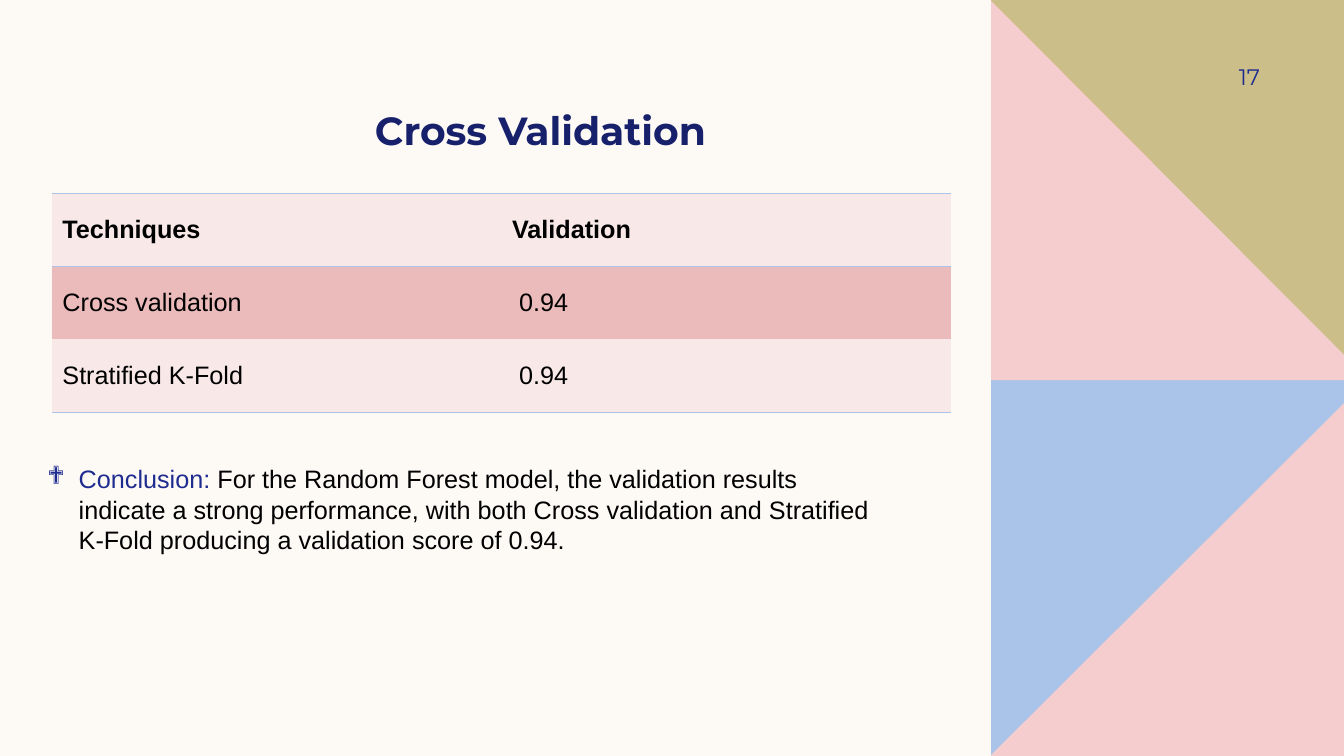
from lxml import etree
from pptx import Presentation
from pptx.dml.color import RGBColor
from pptx.enum.text import MSO_ANCHOR, PP_ALIGN
from pptx.oxml.ns import qn
from pptx.util import Inches, Pt

MIDDLE = MSO_ANCHOR.MIDDLE
RIGHT = PP_ALIGN.RIGHT
WIDTH, HEIGHT = Inches(13.33), Inches(7.5)
PLAIN_TABLE = "{2D5ABB26-0587-4C30-8999-92F81FD0307C}"
BLUE, PINK, OLIVE = "AAC3E8", "F5CDCE", "CCBE89"
NAVY, INDIGO, BLACK = "17216B", "1F2C8F", "000000"
PALE_ROW, DEEP_ROW = "F8E8E8", "EBBABA"
PANEL = 73.75

PANEL_PIECES = [
    (BLUE, [(PANEL, 50), (100, 50), (100, 100), (PANEL, 100)]),
    (PINK, [(100, 53.33), (100, 100), (PANEL, 100), (PANEL, 99.87)]),
    (OLIVE, [(PANEL, 0), (100, 0), (100, 50.13), (PANEL, 50.13)]),
    (PINK, [(PANEL, 0.13), (100, 46.93), (100, 50.27), (PANEL, 50.27)]),
]
SCORES = [
    ("Techniques", "Validation"),
    ("Cross validation", " 0.94"),
    ("Stratified K-Fold", " 0.94"),
]
CONCLUSION = (
    "For the Random Forest model, the validation results indicate a strong "
    "performance, with both Cross validation and Stratified K-Fold producing "
    "a validation score of 0.94."
)


def across(share):
    """Turn a percentage of the slide width into a length."""
    return round(WIDTH * share / 100)


def down(share):
    """Turn a percentage of the slide height into a length."""
    return round(HEIGHT * share / 100)


def paint(fill, color):
    """Give a fill one solid colour."""
    fill.solid()
    fill.fore_color.rgb = RGBColor.from_string(color)


def apply(target, formats):
    """Set every attribute named in a dict of format values."""
    for name, value in formats.items():
        setattr(target, name, value)


def add_span(para, text, color, size=18, name="Arial", bold=False):
    """Append a run of formatted text to a paragraph."""
    span = para.add_run()
    span.text = text
    apply(span.font, {"size": Pt(size), "name": name, "bold": bold})
    span.font.color.rgb = RGBColor.from_string(color)


def add_polygon(page, color, corners):
    """Draw a filled polygon without an outline."""
    points = [(across(x), down(y)) for x, y in corners]
    builder = page.shapes.build_freeform(*points[0])
    builder.add_line_segments(points[1:], close=True)
    polygon = builder.convert_to_shape()
    paint(polygon.fill, color)
    polygon.line.fill.background()
    polygon.shadow.inherit = False


def add_text(page, left, top, width, height, **formats):
    """Add a text box and return its first paragraph."""
    box = page.shapes.add_textbox(across(left), down(top), across(width), down(height))
    apply(box.text_frame, {"word_wrap": True, **formats})
    return box.text_frame.paragraphs[0]


def add_bullet(para, symbol, indent):
    """Give a paragraph a hanging bullet."""
    settings = para._p.get_or_add_pPr()
    settings.set("marL", str(indent))
    settings.set("indent", str(-indent))
    etree.SubElement(settings, qn("a:buFont"), typeface="Wingdings")
    etree.SubElement(settings, qn("a:buChar"), char=symbol)


def add_border(cell, side, color):
    """Draw a one-point line along one side of a cell."""
    line = etree.Element(qn(f"a:{side}"), w=str(Pt(1)))
    fill = etree.SubElement(line, qn("a:solidFill"))
    etree.SubElement(fill, qn("a:srgbClr"), val=color)
    settings = cell._tc.get_or_add_tcPr()
    borders = [child for child in settings if child.tag.startswith(qn("a:ln"))]
    settings.insert(len(borders), line)


def add_scores(page, left, top, width, height):
    """Add the table of validation scores."""
    frame = page.shapes.add_table(
        len(SCORES), len(SCORES[0]), across(left), down(top), across(width), down(height)
    )
    table = frame.table
    table._tbl.tblPr.find(qn("a:tableStyleId")).text = PLAIN_TABLE
    for row, texts in enumerate(SCORES):
        header = row == 0
        sides = {0: ["lnT", "lnB"], len(SCORES) - 1: ["lnB"]}.get(row, [])
        for column, text in enumerate(texts):
            cell = table.cell(row, column)
            cell.vertical_anchor = MIDDLE
            paint(cell.fill, DEEP_ROW if row % 2 else PALE_ROW)
            add_span(cell.text_frame.paragraphs[0], text, BLACK, bold=header)
            for side in sides:
                add_border(cell, side, BLUE)


def main():
    """Build and save the slide."""
    deck = Presentation()
    apply(deck, {"slide_width": WIDTH, "slide_height": HEIGHT})
    page = deck.slides.add_slide(deck.slide_layouts[6])
    paint(page.background.fill, "FDFAF6")
    for color, corners in PANEL_PIECES:
        add_polygon(page, color, corners)

    number = add_text(page, 85.65, 6.67, 8.1, 6.93, vertical_anchor=MIDDLE, margin_right=0)
    number.alignment = RIGHT
    add_span(number, "17", INDIGO, 16, "Montserrat")

    add_scores(page, 3.9, 25.6, 66.9, 28.93)

    conclusion = add_text(page, 2.78, 60.67, 63.9, 13.47)
    add_bullet(conclusion, "❖", across(2.34))
    add_span(conclusion, "Conclusion: ", INDIGO)
    add_span(conclusion, CONCLUSION, BLACK)

    title = add_text(page, 27.15, 13.47, 27.9, 7.6, word_wrap=False)
    add_span(title, "Cross Validation", NAVY, 28, "Montserrat", True)
    deck.save("out.pptx")


if __name__ == "__main__":
    main()
